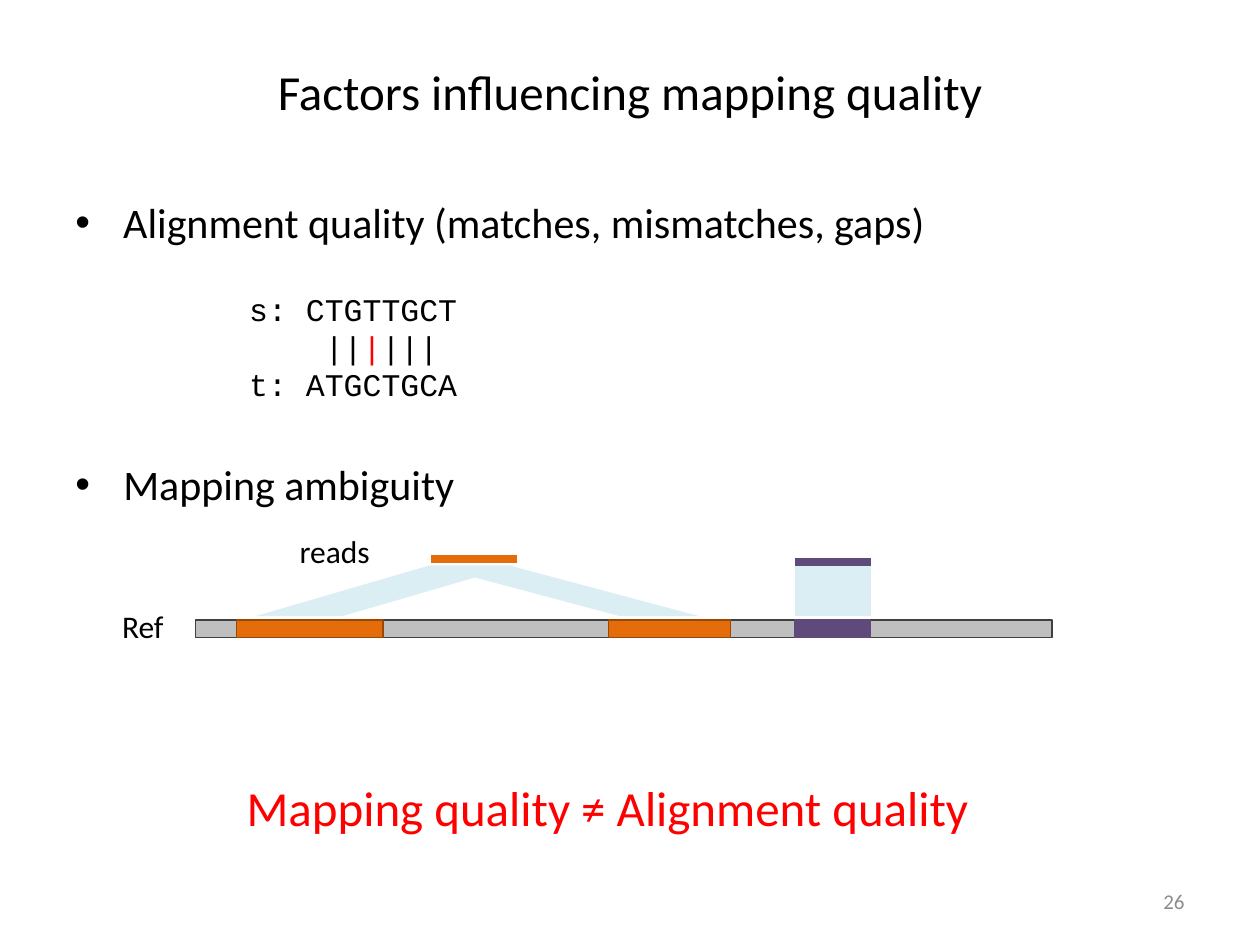
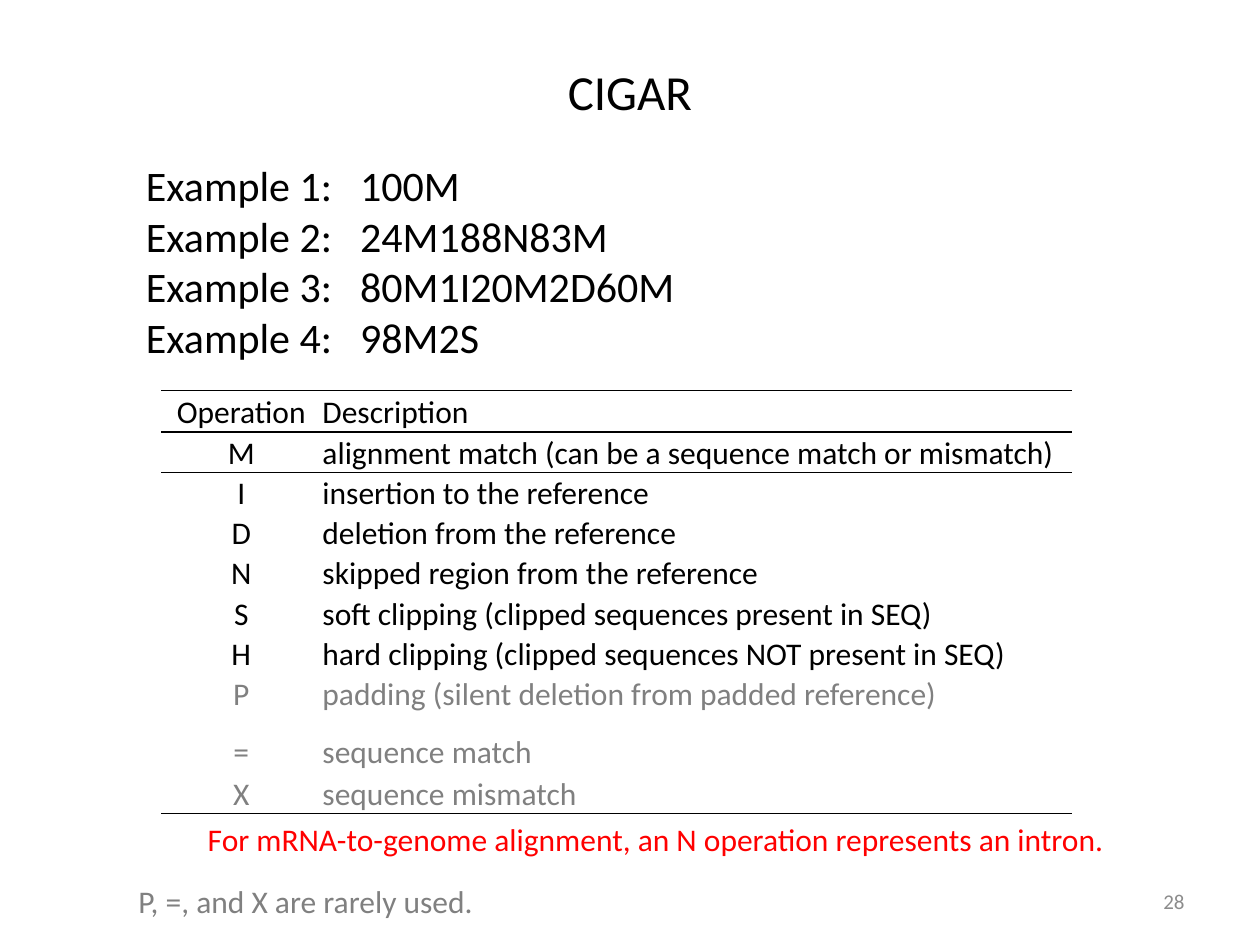
from dataclasses import dataclass
from typing import Any, NamedTuple

from lxml.etree import SubElement
from pptx import Presentation
from pptx.dml.color import RGBColor
from pptx.enum.shapes import MSO_CONNECTOR, MSO_SHAPE
from pptx.enum.text import MSO_ANCHOR, PP_ALIGN
from pptx.oxml.ns import qn
from pptx.util import Pt

PX = 9144  # EMU per px, 100 px to the inch

BLACK = RGBColor(0x00, 0x00, 0x00)
RED = RGBColor(0xFF, 0x00, 0x00)
GRAY = RGBColor(0x80, 0x80, 0x80)
NUMBER_GRAY = RGBColor(0x8C, 0x8C, 0x8C)
REF_FILL = RGBColor(0xBF, 0xBF, 0xBF)
REF_EDGE = RGBColor(0x40, 0x40, 0x40)
ORANGE = RGBColor(0xE4, 0x6C, 0x0A)
ORANGE_EDGE = RGBColor(0x98, 0x48, 0x07)
PURPLE = RGBColor(0x60, 0x4A, 0x7B)
PALE_BLUE = RGBColor(0xDB, 0xEE, 0xF4)

SANS, MONO = "Calibri", "Courier New"
NO_GRID_STYLE = "{2D5ABB26-0587-4C30-8999-92F81FD0307C}"


class Box(NamedTuple):
    left: int
    top: int
    width: int
    height: int

    def emu(self) -> tuple[int, ...]:
        return tuple(value * PX for value in self)


class Style(NamedTuple):
    size: int
    color: RGBColor = BLACK
    face: str = SANS


class Piece(NamedTuple):
    text: str
    color: RGBColor


@dataclass(frozen=True)
class Segment:
    """A stretch of the reference sequence."""
    left: int
    width: int
    fill: RGBColor
    edge: RGBColor


@dataclass(frozen=True)
class Read:
    left: int
    right: int
    y: int
    color: RGBColor


@dataclass(frozen=True)
class Beam:
    """A pale band that joins a read to its place on the reference."""
    left: int
    width: int
    skew: float
    flipped: bool


TITLE_STYLE, BODY, LABEL = Style(28), Style(24), Style(18)
TITLE_BOX = Box(50, 30, 900, 85)
NUMBER_BOX = Box(717, 695, 233, 40)

REF_TOP, REF_HEIGHT = 492, 14
BEAM_TOP, BEAM_HEIGHT = 449, 40
SEGMENTS = (
    Segment(155, 680, REF_FILL, REF_EDGE),
    Segment(188, 116, ORANGE, ORANGE_EDGE),
    Segment(483, 97, ORANGE, ORANGE_EDGE),
    Segment(631, 60, PURPLE, PURPLE),
)
READS = (Read(631, 691, 446, PURPLE), Read(342, 410, 444, ORANGE))
BEAMS = (
    Beam(203, 206, 3.43, False),
    Beam(342, 213, 3.75, True),
    Beam(631, 60, 0, True),
)

CIGAR_EXAMPLES = ("100M", "24M188N83M", "80M1I20M2D60M", "98M2S")
OPERATIONS = (
    ("Operation", "Description"),
    ("M", "alignment match (can be a sequence match or mismatch)"),
    ("I", "insertion to the reference"),
    ("D", "deletion from the reference"),
    ("N", "skipped region from the reference"),
    ("S", "soft clipping (clipped sequences present in SEQ)"),
    ("H", "hard clipping (clipped sequences NOT present in SEQ)"),
    ("P", "padding (silent deletion from padded reference)"),
    ("=", "sequence match"),
    ("X", "sequence mismatch"),
)
RARE = {"P", "=", "X"}
COLUMN_WIDTHS = (127, 596)
ROW_HEIGHTS = (33, *[32] * 6, 27, 47, 33)


# Shared helpers
def set_all(target: Any, values: dict[str, Any]) -> None:
    for name, value in values.items():
        setattr(target, name, value)


def write(paragraph: Any, text: str, style: Style) -> None:
    run = paragraph.add_run()
    run.text = text
    set_all(run.font, {"size": Pt(style.size), "name": style.face})
    run.font.color.rgb = style.color


def add_text(shapes: Any, box: Box, lines: list, style: Style,
             wrap: bool = False, align: PP_ALIGN = PP_ALIGN.LEFT,
             anchor: MSO_ANCHOR = MSO_ANCHOR.TOP) -> list:
    """Each line is a string or a list of coloured pieces."""
    frame = shapes.add_textbox(*box.emu()).text_frame
    set_all(frame, {"word_wrap": wrap, "vertical_anchor": anchor})
    for index, line in enumerate(lines):
        paragraph = frame.add_paragraph() if index else frame.paragraphs[0]
        paragraph.alignment = align
        pieces = [Piece(line, style.color)] if isinstance(line, str) else line
        for piece in pieces:
            write(paragraph, piece.text, style._replace(color=piece.color))
    return list(frame.paragraphs)


def add_bullet(shapes: Any, box: Box, text: str) -> None:
    paragraph, = add_text(shapes, box, [text], BODY, wrap=True)
    properties = paragraph._p.get_or_add_pPr()
    properties.set("marL", str(38 * PX))
    properties.set("indent", str(-38 * PX))
    SubElement(properties, qn("a:buFont"), typeface="Arial")
    SubElement(properties, qn("a:buChar"), char="•")


def add_titled_slide(deck: Any, title: str, number: int) -> Any:
    slide = deck.slides.add_slide(deck.slide_layouts[5])
    heading = slide.shapes.title
    set_all(heading, dict(zip(("left", "top", "width", "height"),
                              TITLE_BOX.emu())))
    heading.text_frame.vertical_anchor = MSO_ANCHOR.MIDDLE
    paragraph = heading.text_frame.paragraphs[0]
    paragraph.alignment = PP_ALIGN.CENTER
    write(paragraph, title, TITLE_STYLE)
    add_text(slide.shapes, NUMBER_BOX, [str(number)], Style(12, NUMBER_GRAY),
             wrap=True, align=PP_ALIGN.RIGHT, anchor=MSO_ANCHOR.MIDDLE)
    return slide


# Mapping diagram
def add_filled(shapes: Any, kind: MSO_SHAPE, box: Box, fill: RGBColor) -> Any:
    shape = shapes.add_shape(kind, *box.emu())
    shape.shadow.inherit = False
    shape.fill.solid()
    shape.fill.fore_color.rgb = fill
    return shape


def add_segment(shapes: Any, segment: Segment) -> None:
    box = Box(segment.left, REF_TOP, segment.width, REF_HEIGHT)
    bar = add_filled(shapes, MSO_SHAPE.RECTANGLE, box, segment.fill)
    bar.line.color.rgb = segment.edge
    bar.line.width = Pt(0.75)


def add_read(shapes: Any, read: Read) -> None:
    ends = (read.left, read.y, read.right, read.y)
    stroke = shapes.add_connector(MSO_CONNECTOR.STRAIGHT,
                                  *(value * PX for value in ends))
    stroke.line.color.rgb = read.color
    stroke.line.width = Pt(4.5)
    SubElement(stroke._element.spPr, qn("a:effectLst"))


def add_beam(shapes: Any, beam: Beam) -> None:
    box = Box(beam.left, BEAM_TOP, beam.width, BEAM_HEIGHT)
    band = add_filled(shapes, MSO_SHAPE.PARALLELOGRAM, box, PALE_BLUE)
    band.line.fill.background()
    band.adjustments[0] = beam.skew
    if beam.flipped:
        band._element.spPr.find(qn("a:xfrm")).set("flipH", "1")


def add_mapping_diagram(slide: Any) -> None:
    shapes = slide.shapes.add_group_shape().shapes
    for segment in SEGMENTS[:-1]:
        add_segment(shapes, segment)
    for read in READS:
        add_read(shapes, read)
    for beam in BEAMS:
        add_beam(shapes, beam)
    add_segment(shapes, SEGMENTS[-1])
    add_text(shapes, Box(228, 417, 77, 40), ["reads"], LABEL)
    add_text(shapes, Box(87, 477, 55, 40), ["Ref"], LABEL)


# Table of operations
def add_border(cell: Any, side: str, points: float) -> None:
    line = SubElement(cell._tc.get_or_add_tcPr(), qn(f"a:{side}"),
                      w=str(Pt(points)))
    fill = SubElement(line, qn("a:solidFill"))
    SubElement(fill, qn("a:srgbClr"), val=str(BLACK))


def add_operations(slide: Any) -> None:
    box = Box(128, 310, sum(COLUMN_WIDTHS), sum(ROW_HEIGHTS))
    table = slide.shapes.add_table(len(OPERATIONS), len(COLUMN_WIDTHS),
                                   *box.emu()).table
    set_all(table, {"first_row": False, "horz_banding": False})
    table._tbl.tblPr.find(qn("a:tableStyleId")).text = NO_GRID_STYLE
    for column, width in zip(table.columns, COLUMN_WIDTHS):
        column.width = width * PX
    for row, height in zip(table.rows, ROW_HEIGHTS):
        row.height = height * PX

    cell_format = {"margin_left": PX, "margin_right": PX, "margin_top": PX,
                   "margin_bottom": 0, "vertical_anchor": MSO_ANCHOR.BOTTOM}
    borders = {0: {"lnT": 0.5, "lnB": 1}, 1: {"lnT": 1},
               len(OPERATIONS) - 1: {"lnB": 1}}
    aligns = (PP_ALIGN.CENTER, PP_ALIGN.LEFT)
    for row, entry in enumerate(OPERATIONS):
        color = GRAY if entry[0] in RARE else BLACK
        for column, (text, align) in enumerate(zip(entry, aligns)):
            cell = table.cell(row, column)
            set_all(cell, cell_format)
            for side, points in borders.get(row, {}).items():
                add_border(cell, side, points)
            cell.fill.background()
            paragraph = cell.text_frame.paragraphs[0]
            paragraph.alignment = align
            write(paragraph, text, LABEL._replace(color=color))


# Slides
def build_quality_slide(deck: Any) -> None:
    slide = add_titled_slide(deck, "Factors influencing mapping quality", 26)
    add_bullet(slide.shapes, Box(50, 151, 900, 74),
               "Alignment quality (matches, mismatches, gaps)")
    match_bars = [Piece("||", BLACK), Piece("|", RED), Piece("|||", BLACK)]
    alignment = add_text(slide.shapes, Box(188, 225, 187, 101),
                         ["s: CTGTTGCT", match_bars, "t: ATGCTGCA"],
                         Style(18, face=MONO))
    # Four characters of 15 px put the bars under the second base
    alignment[1]._p.get_or_add_pPr().set("marL", str(4 * 15 * PX))
    add_mapping_diagram(slide)
    add_text(slide.shapes, Box(186, 612, 600, 57),
             ["Mapping quality ≠ Alignment quality"], Style(28, RED))
    add_bullet(slide.shapes, Box(50, 359, 441, 57), "Mapping ambiguity")


def build_cigar_slide(deck: Any) -> None:
    slide = add_titled_slide(deck, "CIGAR", 28)
    add_operations(slide)
    add_text(slide.shapes, Box(155, 646, 745, 40),
             ["For mRNA-to-genome alignment, an N operation represents "
              "an intron."], Style(18, RED), wrap=True)
    add_text(slide.shapes, Box(100, 695, 293, 40),
             ["P, =, and X are rarely used."], Style(18, GRAY))
    lines = [f"Example {number}:\t{cigar}"
             for number, cigar in enumerate(CIGAR_EXAMPLES, start=1)]
    for paragraph in add_text(slide.shapes, Box(106, 122, 445, 172), lines,
                              BODY, wrap=True):
        tabs = SubElement(paragraph._p.get_or_add_pPr(), qn("a:tabLst"))
        SubElement(tabs, qn("a:tab"), pos=str(170 * PX), algn="l")


def main() -> None:
    deck = Presentation()
    set_all(deck, {"slide_width": 1000 * PX, "slide_height": 750 * PX})
    build_quality_slide(deck)
    build_cigar_slide(deck)
    deck.save("out.pptx")


if __name__ == "__main__":
    main()
